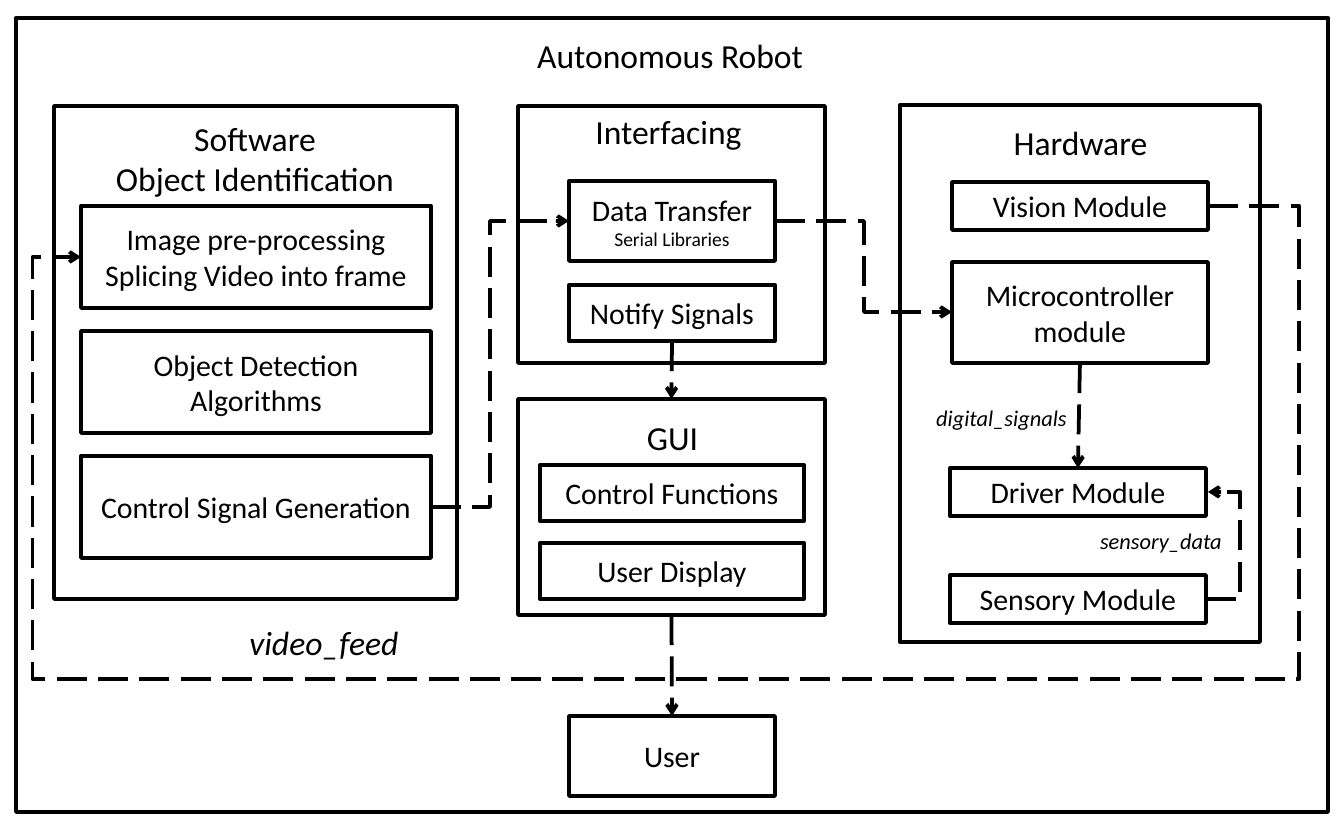
import pptx
import pptx.dml.color
import pptx.enum.dml
import pptx.enum.shapes
import pptx.enum.text
import pptx.oxml
import pptx.oxml.ns
import pptx.util
from lxml import etree

SCALE = 914400 / 134.4  # EMU per px
THEME = {
    "ink": pptx.dml.color.RGBColor(0, 0, 0),
    "paper": pptx.dml.color.RGBColor(255, 255, 255),
    "font": "Calibri",
    "heading": 18,
    "module": 16,
    "flow": 12,
    "detail": 10.5,
    "line": pptx.util.Pt(2),
}
CENTER = pptx.enum.text.PP_ALIGN.CENTER
LEFT = pptx.enum.text.PP_ALIGN.LEFT
qn = pptx.oxml.ns.qn


def px(*lengths):
    return [pptx.util.Emu(round(length * SCALE)) for length in lengths]


def write(frame, lines, align=CENTER, italic=None, **frame_format):
    """Fill a text frame with (text, theme size) lines."""
    for name, value in frame_format.items():
        setattr(frame, name, value)
    for index, (text, size) in enumerate(lines):
        paragraph = frame.add_paragraph() if index else frame.paragraphs[0]
        paragraph.alignment = align
        run = paragraph.add_run()
        run.text = text
        font_format = {"name": THEME["font"], "size": pptx.util.Pt(THEME[size]), "italic": italic}
        for name, value in font_format.items():
            setattr(run.font, name, value)
        run.font.color.rgb = THEME["ink"]


deck = pptx.Presentation()
deck.slide_width, deck.slide_height = px(1344, 840)
slide = deck.slides.add_slide(deck.slide_layouts[6])
shapes = slide.shapes

# Frames first, then the modules that sit on them
frames = {
    "robot": (16, 18, 1312, 794),
    "software": (54, 106, 403, 493),
    "interfacing": (518, 106, 307, 257),
    "gui": (518, 399, 307, 216),
    "hardware": (900, 105, 360, 537),
}
modules = {
    "vision": ((952, 182, 256, 48), [("Vision Module", "module")]),
    "microcontroller": ((952, 262, 256, 101), [("Microcontroller module", "module")]),
    "driver": ((950, 468, 256, 48), [("Driver Module", "module")]),
    "sensory": ((950, 575, 256, 48), [("Sensory Module", "module")]),
    "transfer": ((569, 181, 206, 80), [("Data Transfer", "module"), ("Serial Libraries", "detail")]),
    "notify": ((569, 285, 206, 56), [("Notify Signals", "module")]),
    "functions": ((540, 465, 264, 56), [("Control Functions", "module")]),
    "display": ((540, 543, 264, 56), [("User Display", "module")]),
    "user": ((569, 716, 206, 80), [("User", "module")]),
}
software_steps = [
    ["Image pre-processing", "Splicing Video into frame"],
    ["Object Detection Algorithms"],
    ["Control Signal Generation"],
]
for step, texts in enumerate(software_steps):
    modules[f"software step {step}"] = (
        (81, 206 + 125 * step, 350, 102),
        [(text, "module") for text in texts],
    )

parts = {}
blocks = {name: (box, []) for name, box in frames.items()} | modules
for name, (box, lines) in blocks.items():
    part = shapes.add_shape(pptx.enum.shapes.MSO_SHAPE.RECTANGLE, *px(*box))
    part.shadow.inherit = False
    part.line.color.rgb = THEME["ink"]
    part.line.width = THEME["line"]
    if lines:
        part.fill.solid()
        part.fill.fore_color.rgb = THEME["paper"]
        write(part.text_frame, lines, word_wrap=True,
              vertical_anchor=pptx.enum.text.MSO_ANCHOR.MIDDLE)
    else:
        part.fill.background()
    parts[name] = part

# Headings and flow names
labels = [
    ((524, 28, 296, 54), ["Autonomous Robot"], "heading", LEFT, None),
    ((101, 111, 308, 95), ["Software", "Object Identification"], "heading", CENTER, None),
    ((581, 104, 175, 54), ["Interfacing"], "heading", CENTER, None),
    ((633, 410, 79, 54), ["GUI"], "heading", CENTER, None),
    ((999, 115, 163, 54), ["Hardware"], "heading", CENTER, None),
    ((235, 615, 178, 54), ["video_feed"], "heading", CENTER, True),
    ((922, 397, 159, 41), ["digital_signals"], "flow", CENTER, True),
    ((1086, 521, 150, 41), ["sensory_data"], "flow", CENTER, True),
]
for box, texts, size, align, italic in labels:
    label = shapes.add_textbox(*px(*box))
    write(label.text_frame, [(text, size) for text in texts], align, italic,
          word_wrap=False, auto_size=pptx.enum.text.MSO_AUTO_SIZE.SHAPE_TO_FIT_TEXT)

# Straight flows run from a bottom side to a top side
flows = []
for source, target in [("notify", "gui"), ("gui", "user"), ("microcontroller", "driver")]:
    flow = shapes.add_connector(pptx.enum.shapes.MSO_CONNECTOR.STRAIGHT, 0, 0, 0, 0)
    flow.begin_connect(parts[source], 2)
    flow.end_connect(parts[target], 0)
    flows.append(flow)

# Bent flows: start, end, and the turns as alternating x and y positions
bent_flows = [
    ((1208, 206), (81, 257), (1299, 679, 32)),
    ((431, 507), (569, 221), (490,)),
    ((775, 221), (952, 312), (864,)),
    ((1206, 599), (1208, 492), (1240,)),
]
for start, end, turns in bent_flows:
    flow = shapes.add_connector(pptx.enum.shapes.MSO_CONNECTOR.ELBOW, *px(*start, *end))
    geometry = flow._element.spPr.find(qn("a:prstGeom"))
    geometry.set("prst", f"bentConnector{len(turns) + 2}")
    for index, turn in enumerate(turns):
        axis = index % 2
        share = (turn - start[axis]) / (end[axis] - start[axis])
        etree.SubElement(geometry.find(qn("a:avLst")), qn("a:gd"),
                         name=f"adj{index + 1}", fmla=f"val {round(share * 100000)}")
    flows.append(flow)

# Dashes and arrowheads
for flow in flows:
    flow.line.color.rgb = THEME["ink"]
    line_format = {"width": THEME["line"], "dash_style": pptx.enum.dml.MSO_LINE.LONG_DASH}
    for name, value in line_format.items():
        setattr(flow.line, name, value)
    etree.SubElement(flow.line._get_or_add_ln(), qn("a:tailEnd"), type="arrow")
    etree.SubElement(flow._element.spPr, qn("a:effectLst"))

deck.save("out.pptx")
